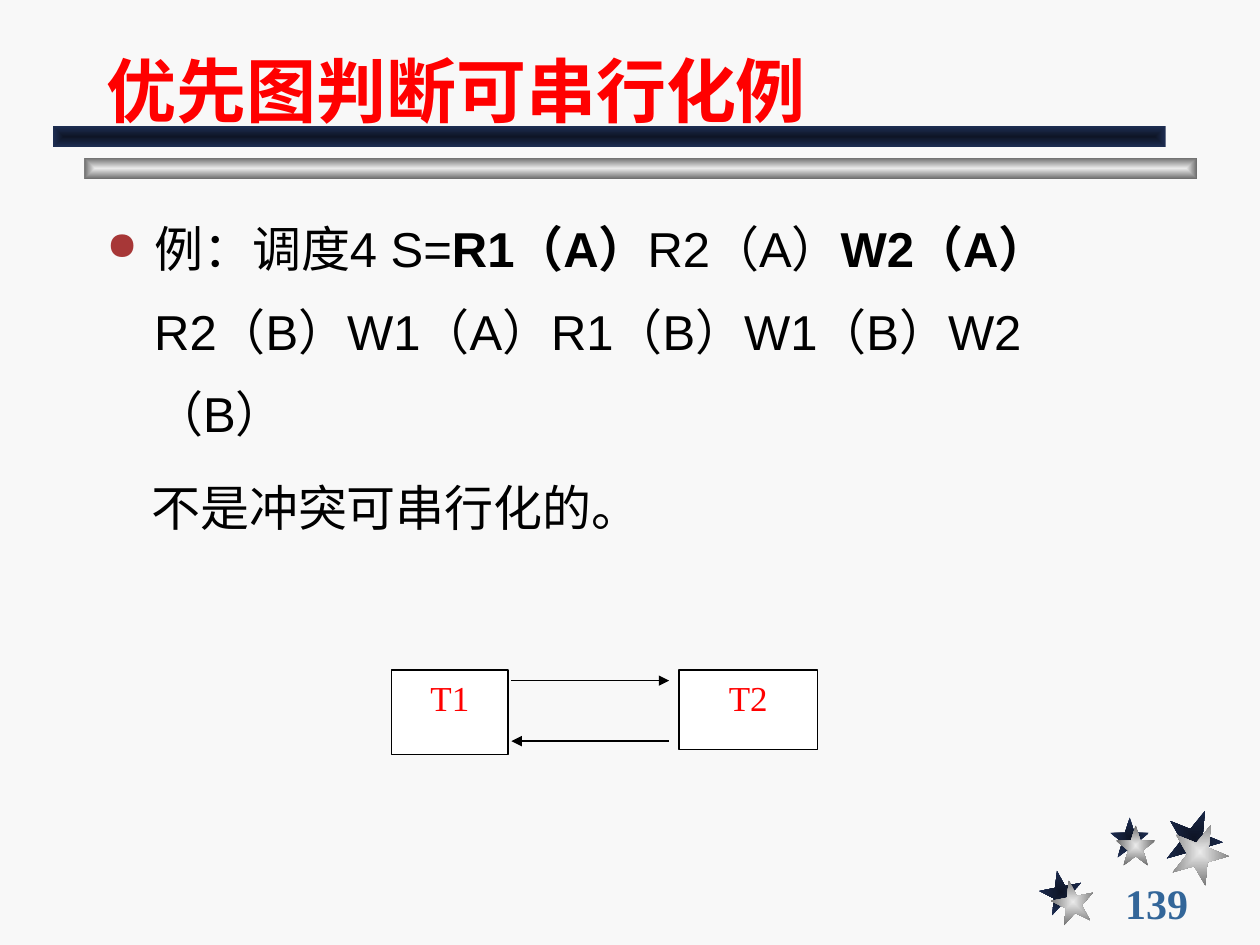
from lxml.etree import SubElement
from pptx import Presentation
from pptx.dml.color import RGBColor
from pptx.enum.shapes import MSO_CONNECTOR, MSO_SHAPE
from pptx.enum.text import MSO_ANCHOR, PP_ALIGN
from pptx.oxml.ns import qn
from pptx.util import Cm, Pt

NAVY = ("0E1526", "1E2E53")
SILVER = ("EAEAEA", "6C6C6C")
BARS = [(1.7, 3.18, SILVER), (1.07, 2.54, NAVY)]
BAR_SIZE = (22.43, 0.43)
STARS = [
    {"size": (0.86, 0.86), "turn": 349, "navy": (20.96, 17.55), "silver": (21.2, 17.75)},
    {"size": (0.79, 0.81), "turn": 0, "navy": (22.38, 16.48), "silver": (22.5, 16.64)},
    {"size": (1.14, 1.17), "turn": 22, "navy": (23.5, 16.31), "silver": (23.62, 16.59)},
]
TITLE = "优先图判断可串行化例"
PAGE_NUMBER = "139"
SCHEDULE = [
    ("例：调度4 S=", False),
    ("R1（A）", True),
    ("R2（A）", False),
    ("W2（A）", True),
    ("R2（B）W1（A）R1（B）W1（B）W2（B）", False),
]
CONCLUSION = "不是冲突可串行化的。"
NODES = [("T1", (7.9, 13.51, 2.34, 1.7)), ("T2", (13.69, 13.51, 2.79, 1.6))]
ARROWS = [(10.31, 13.49, 13.72), (13.49, 10.31, 14.94)]


def color(value):
    """Turn a hex string into a colour."""
    return RGBColor.from_string(value)


def style(font, name, size, value, bold=False):
    """Set the typeface, size, colour and weight of a font."""
    font.name, font.size, font.bold = name, Pt(size), bold
    font.color.rgb = color(value)


def add_ornament(page, kind, place, size, shades, turn=0):
    """Add a shape shaded from its centre to its edges."""
    shape = page.shapes.add_shape(kind, *map(Cm, place + size))
    shape.shadow.inherit = False
    shape.rotation = turn
    shape.line.fill.background()
    shape.fill.gradient()
    for stop, shade in zip(shape.fill.gradient_stops, shades):
        stop.color.rgb = color(shade)
    gradient = shape._element.spPr.find(qn("a:gradFill"))
    gradient.remove(gradient.find(qn("a:lin")))
    path = SubElement(gradient, qn("a:path"), path="rect")
    SubElement(path, qn("a:fillToRect"), dict.fromkeys("ltrb", "50000"))


def add_text(page, place, anchor):
    """Add a wrapping text box and return its frame."""
    frame = page.shapes.add_textbox(*map(Cm, place)).text_frame
    frame.word_wrap = True
    frame.vertical_anchor = anchor
    return frame


def add_body(page):
    """Add the bulleted schedule and the conclusion under it."""
    frame = add_text(page, (1.9, 3.81, 20.6, 7.92), MSO_ANCHOR.TOP)
    schedule, conclusion = frame.paragraphs[0], frame.add_paragraph()
    for text, bold in SCHEDULE:
        span = schedule.add_run()
        span.text = text
        style(span.font, "Arial", 28, "000000", bold)
    properties = schedule._p.get_or_add_pPr()
    properties.set("marL", str(Cm(0.96)))
    properties.set("indent", str(Cm(-0.96)))
    bullet_color = SubElement(properties, qn("a:buClr"))
    SubElement(bullet_color, qn("a:srgbClr"), val="A73737")
    SubElement(properties, qn("a:buSzPct"), val="80000")
    SubElement(properties, qn("a:buChar"), char="●")
    conclusion.text = CONCLUSION
    conclusion._p.get_or_add_pPr().set("marL", str(Cm(0.9)))
    style(conclusion.font, "Arial", 28, "000000")
    conclusion.space_before = Pt(7)
    for para in frame.paragraphs:
        para.line_spacing = 1.4


def add_node(page, label, place):
    """Add a transaction box of the precedence graph."""
    box = page.shapes.add_shape(MSO_SHAPE.RECTANGLE, *map(Cm, place))
    box.shadow.inherit = False
    box.fill.solid()
    box.fill.fore_color.rgb = color("FFFFFF")
    box.line.color.rgb = color("000000")
    box.line.width = Pt(0.75)
    box.text_frame.vertical_anchor = MSO_ANCHOR.TOP
    para = box.text_frame.paragraphs[0]
    para.text = label
    para.alignment = PP_ALIGN.CENTER
    style(para.font, "Times New Roman", 20, "FF0000")


def add_arrow(page, start, end, height):
    """Add a level arrow between the transaction boxes."""
    arrow = page.shapes.add_connector(
        MSO_CONNECTOR.STRAIGHT, Cm(start), Cm(height), Cm(end), Cm(height)
    )
    arrow.line.color.rgb = color("000000")
    arrow.line.width = Pt(0.75)
    SubElement(arrow.line._get_or_add_ln(), qn("a:tailEnd"), type="triangle")
    SubElement(arrow._element.spPr, qn("a:effectLst"))


def main():
    """Build the slide and save it."""
    deck = Presentation()
    deck.slide_width, deck.slide_height = Cm(25.4), Cm(19.05)
    page = deck.slides.add_slide(deck.slide_layouts[6])
    page.background.fill.solid()
    page.background.fill.fore_color.rgb = color("F8F8F8")
    for layer, shades in (("navy", NAVY), ("silver", SILVER)):
        for star in STARS:
            add_ornament(page, MSO_SHAPE.STAR_5_POINT, star[layer], star["size"], shades, star["turn"])
    for left, top, shades in BARS:
        add_ornament(page, MSO_SHAPE.RECTANGLE, (left, top), BAR_SIZE, shades)
    number = add_text(page, (22.43, 17.78, 2.74, 0.84), MSO_ANCHOR.MIDDLE).paragraphs[0]
    number.text = PAGE_NUMBER
    style(number.font, "Times New Roman", 24, "336699", True)
    title = add_text(page, (1.9, 0.43, 21.59, 2.34), MSO_ANCHOR.BOTTOM).paragraphs[0]
    title.text = TITLE
    style(title.font, "Arial", 40, "FF0000", True)
    add_body(page)
    for label, place in NODES:
        add_node(page, label, place)
    for start, end, height in ARROWS:
        add_arrow(page, start, end, height)
    deck.save("out.pptx")


if __name__ == "__main__":
    main()
